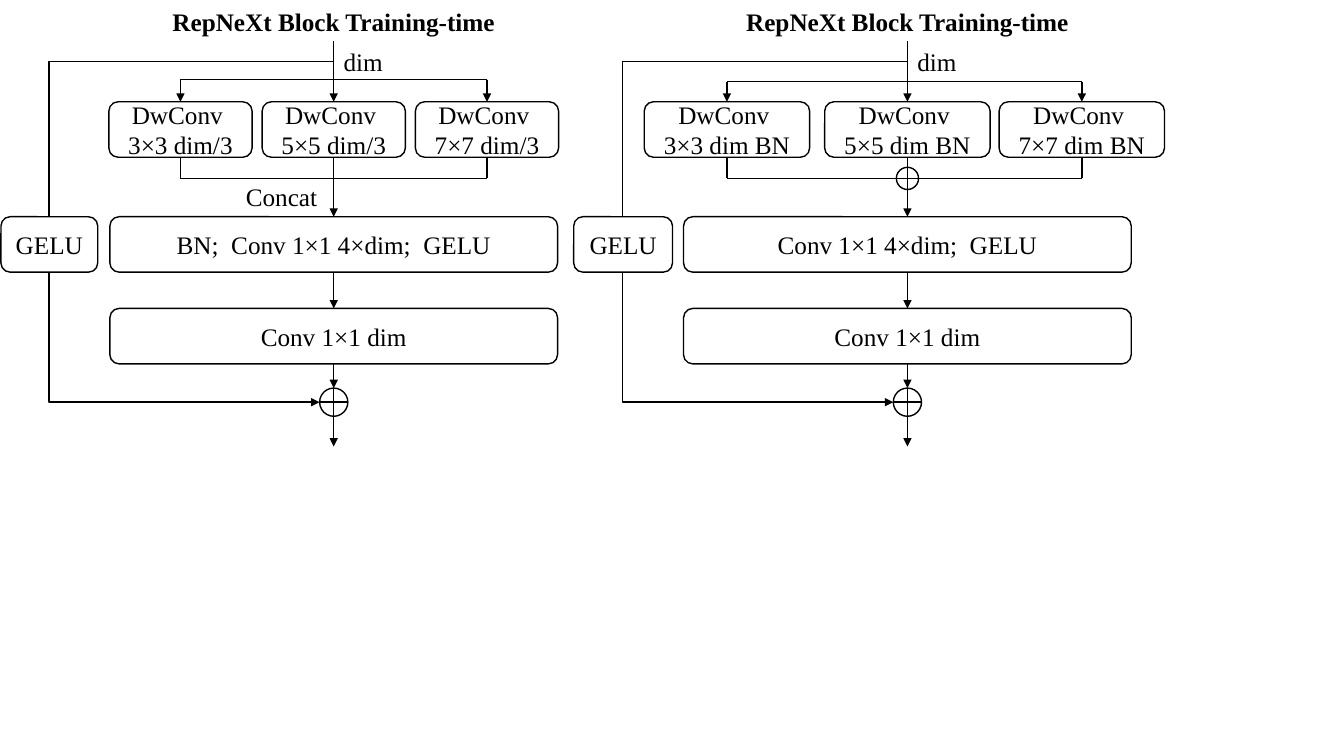
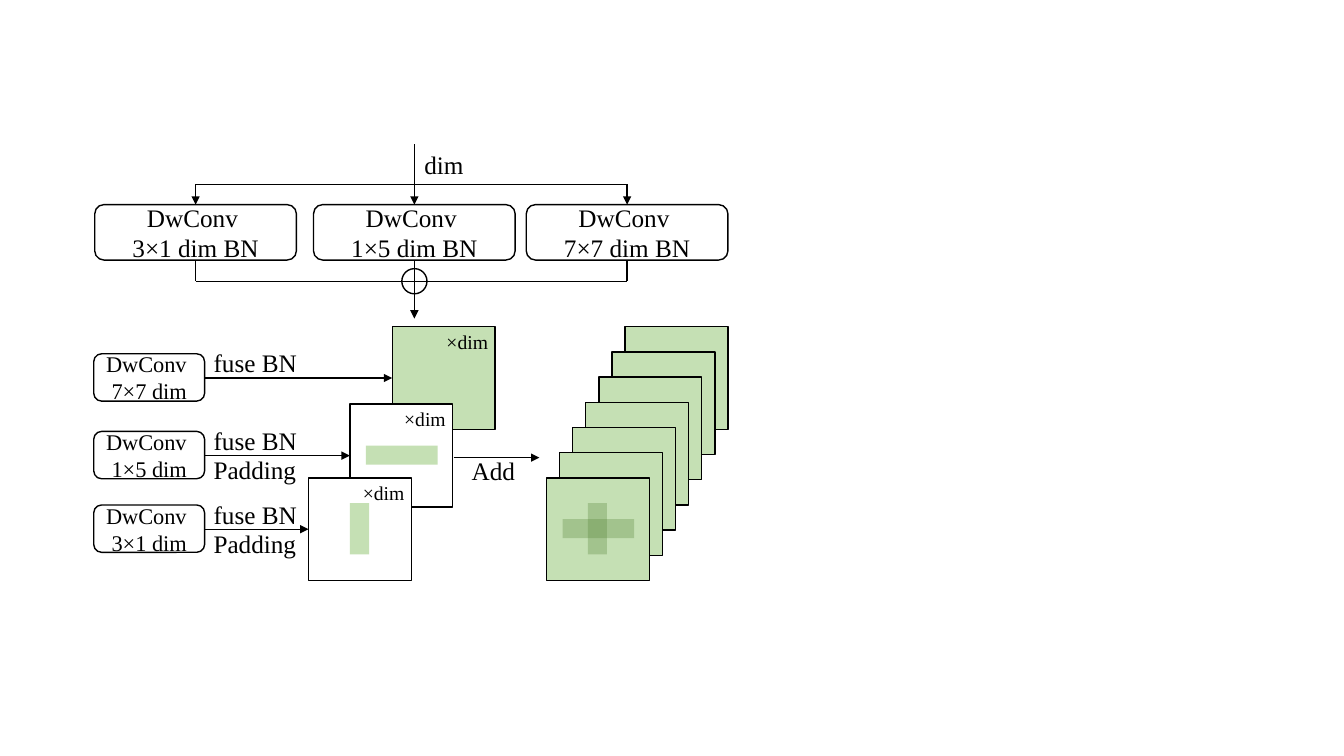
from pptx import Presentation
from pptx.dml.color import RGBColor
from pptx.enum.shapes import MSO_CONNECTOR, MSO_SHAPE
from pptx.enum.text import MSO_ANCHOR, PP_ALIGN
from pptx.oxml.ns import qn
from pptx.util import Emu, Pt
from lxml.etree import SubElement

INK = {"black": "000000", "white": "FFFFFF", "leaf": "C5E0B4", "moss": "548235"}
FONT = "Times New Roman"
SCALE = 9144


def px(*nums):
    return [Emu(int(n * SCALE)) for n in nums]


class Deck:
    def __init__(self, wide, high):
        self.file = Presentation()
        self.file.slide_width, self.file.slide_height = px(wide, high)
        self.slide = None

    def page(self, layout, keep=()):
        self.slide = self.file.slides.add_slide(self.file.slide_layouts[layout])
        for item in list(self.slide.placeholders):
            if item.placeholder_format.idx not in keep:
                item.element.getparent().remove(item.element)

    def letter(self, frame, lines, size=18, align=PP_ALIGN.CENTER, bold=False):
        frame.text = "\n".join(lines)
        frame.word_wrap = True
        for para in frame.paragraphs:
            para.alignment = align
            para.space_before = Pt(0)
            para.font.name = FONT
            para.font.size = Pt(size)
            para.font.bold = bold
            para.font.color.rgb = RGBColor.from_string(INK["black"])

    def head(self, idx, text, mid):
        item = self.slide.placeholders[idx]
        item.left, item.top, item.width, item.height = px(mid - 190, 1, 380, 40)
        self.letter(item.text_frame, [text], bold=True)
        item.text_frame.vertical_anchor = MSO_ANCHOR.MIDDLE

    def label(self, text, x, y, w, size=18):
        item = self.slide.shapes.add_textbox(*px(x, y, w, 40))
        self.letter(item.text_frame, [text], size, PP_ALIGN.LEFT)

    def shape(self, kind, x, y, w, h, fill=None, edge=True, alpha=None):
        item = self.slide.shapes.add_shape(kind, *px(x, y, w, h))
        item.shadow.inherit = False
        if fill:
            item.fill.solid()
            item.fill.fore_color.rgb = RGBColor.from_string(INK[fill])
        else:
            item.fill.background()
        if alpha:
            color = item.element.spPr.find(qn("a:solidFill"))[0]
            SubElement(color, qn("a:alpha")).set("val", str(alpha * 1000))
        if edge:
            self.stroke(item)
        else:
            item.line.fill.background()
        return item

    def stroke(self, item):
        item.line.color.rgb = RGBColor.from_string(INK["black"])
        item.line.width = Pt(1)

    def box(self, lines, x, y, w, h=55, size=18, fill=None):
        item = self.shape(MSO_SHAPE.ROUNDED_RECTANGLE, x, y, w, h, fill)
        self.letter(item.text_frame, lines, size)

    def tile(self, x, y, fill):
        self.shape(MSO_SHAPE.RECTANGLE, x, y, 102, 102, fill)

    def bar(self, x, y, flat, fill, alpha=None):
        spot = (x + 16, y + 41, 71, 19) if flat else (x + 41, y + 25, 19, 51)
        self.shape(MSO_SHAPE.RECTANGLE, *spot, fill, False, alpha)

    def ring(self, kind, x, y, size):
        self.shape(kind, x - size / 2, y - size / 2, size, size)

    def line(self, x, y, to_x, to_y, arrow=True, kind=MSO_CONNECTOR.STRAIGHT):
        item = self.slide.shapes.add_connector(kind, *px(x, y, to_x, to_y))
        self.stroke(item)
        props = item.element.spPr
        if arrow:
            SubElement(props.find(qn("a:ln")), qn("a:tailEnd")).set("type", "triangle")
        SubElement(props, qn("a:effectLst"))
        return item

    def skip(self, x, y, to_x, to_y, side):
        item = self.line(x, y, to_x, to_y, kind=MSO_CONNECTOR.ELBOW)
        geom = item.element.spPr.find(qn("a:prstGeom"))
        bend = geom.find(qn("a:avLst"))
        if bend is None:
            bend = SubElement(geom, qn("a:avLst"))
        ratio = round((x - side) / (x - to_x) * 100000)
        guide = SubElement(bend, qn("a:gd"))
        guide.set("name", "adj1")
        guide.set("fmla", f"val {ratio}")

    def fork(self, mids, kinds, y, w, end, drop=20, ring=None):
        first, mid, last = mids
        low, rail = y + 55, y + 76
        self.line(mid, y - 60, mid, y)
        self.label("dim", mid, y - 60, 150)
        self.line(mid, low, mid, end)
        self.line(first, y - drop, last, y - drop, False)
        self.line(first, rail, last, rail, False)
        for x in (first, last):
            self.line(x, y - drop, x, y)
            self.line(x, low, x, rail, False)
        if ring:
            self.ring(MSO_SHAPE.OVAL, mid, rail, ring)
        for x, kind in zip(mids, kinds):
            self.box(["DwConv ", kind], x - w / 2, y, w)


def block(deck, idx, mids, kinds, w, text, side, gate, **style):
    mid = mids[1]
    deck.head(idx, "RepNeXt Block Training-time", mid)
    deck.fork(mids, kinds, 101, w, 215, **style)
    for y, words in ((215, text), (306, "Conv 1×1 dim")):
        deck.box([words], mid - 222, y, 444)
    deck.line(mid, 270, mid, 306)
    deck.line(mid, 361, mid, 385)
    deck.ring(MSO_SHAPE.FLOWCHART_OR, mid, 399, 28)
    deck.line(mid, 413, mid, 443)
    deck.skip(mid, 61, mid - 14, 399, side)
    deck.box(["GELU"], side - gate / 2, 215, gate, fill="white")


def blocks(deck):
    deck.page(4, (1, 3))
    sizes = ("3×3", "5×5", "7×7")
    block(deck, 1, (179, 331, 483), [f"{s} dim/3" for s in sizes], 142,
          "BN;  Conv 1×1 4×dim;  GELU", 49, 96, drop=22)
    deck.label("Concat", 234, 175, 110)
    block(deck, 3, (721, 900, 1073), [f"{s} dim BN" for s in sizes], 164,
          "Conv 1×1 4×dim;  GELU", 618, 98, ring=22)


def fusion(deck):
    deck.page(6)
    sizes = ("3×1", "1×5", "7×7")
    deck.fork((194, 411, 622), [f"{s} dim BN" for s in sizes], 203, 200, 316, ring=25)
    rows = (("7×7", 389, 324, "leaf"), ("1×5", 347, 401, "white"), ("3×1", 306, 474, "white"))
    for size, x, y, fill in rows:
        deck.box(["DwConv ", f"{size} dim"], 93, y + 27, 110, 47, 16)
        deck.tile(x, y, fill)
        deck.line(203, y + 51, x, y + 51)
        deck.label("fuse BN", 202, y + 16, 120)
        deck.label("×dim", x + 44, y - 2, 75, 14)
        if fill == "white":
            deck.label("Padding", 202, y + 45, 120)
            deck.bar(x, y, size == "1×5", "leaf")
    deck.line(450, 454, 535, 454)
    deck.label("Add", 458, 447, 80)
    for step in range(7):
        x, y = 620 - 13 * step, 324 + 25 * step
        deck.tile(x, y, "leaf")
    for flat in (True, False):
        deck.bar(x, y, flat, "moss", 30)


def main():
    deck = Deck(1333, 750)
    blocks(deck)
    fusion(deck)
    deck.file.save("out.pptx")


if __name__ == "__main__":
    main()
